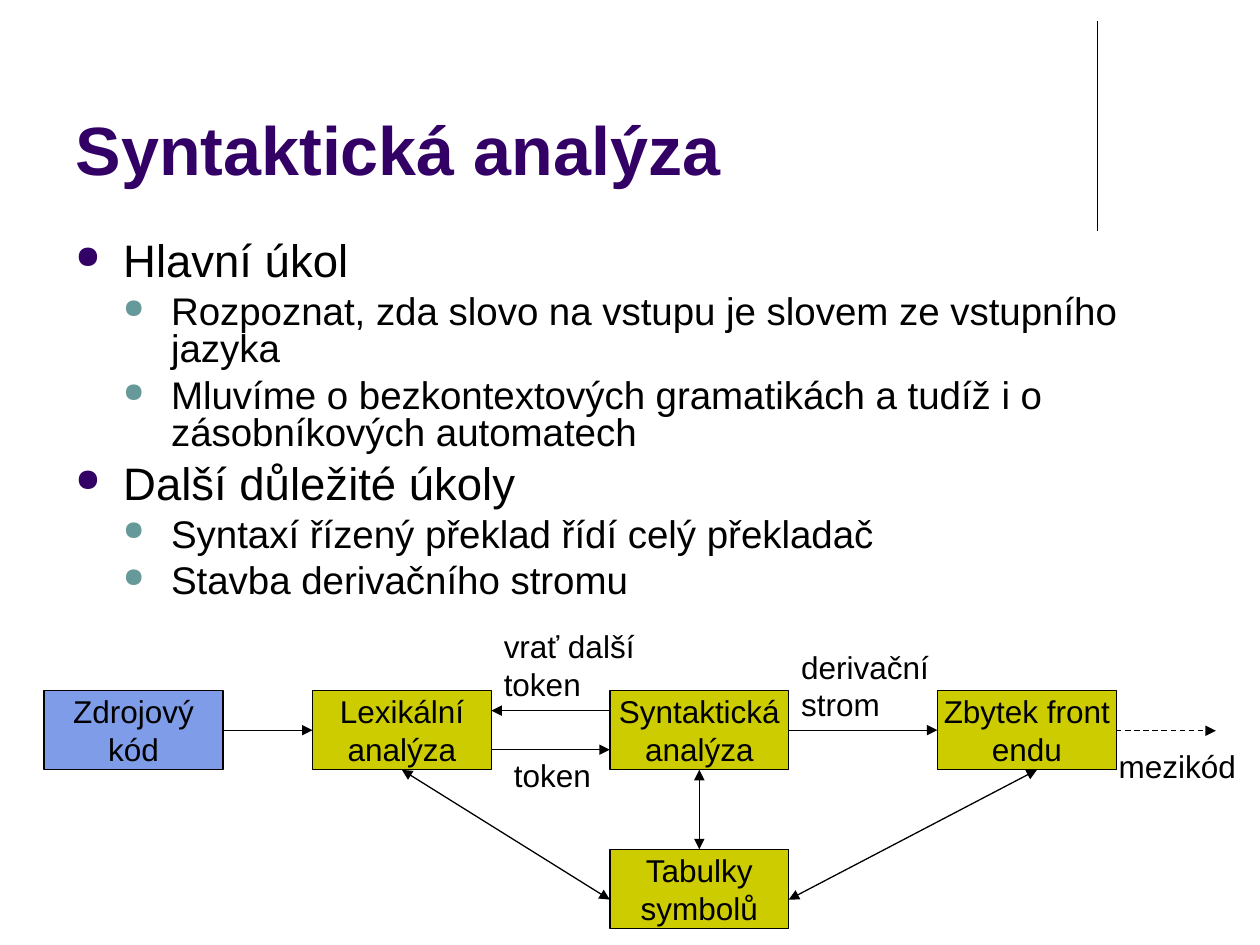
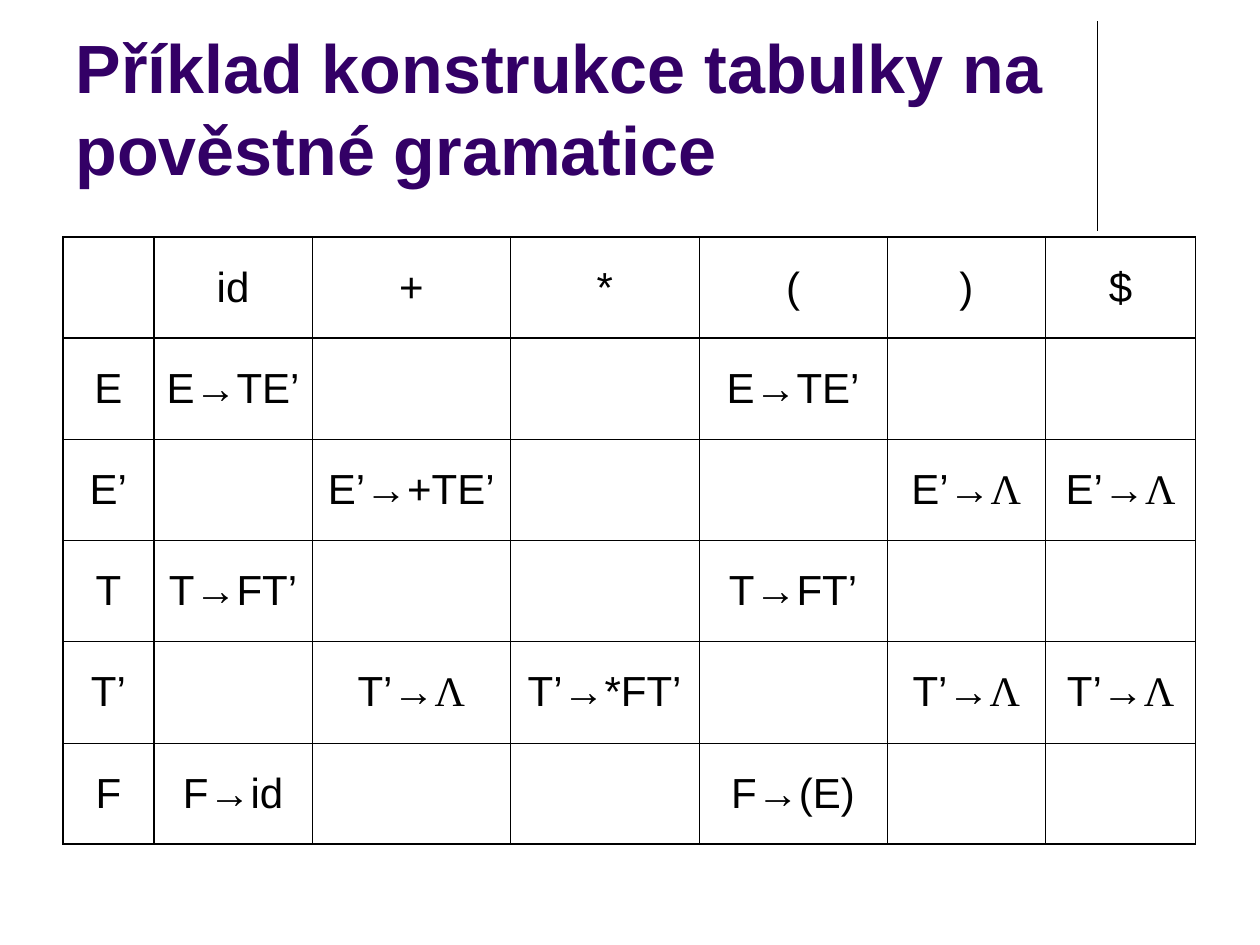
from lxml.etree import SubElement
from pptx import Presentation
from pptx.dml.color import RGBColor
from pptx.enum.dml import MSO_LINE_DASH_STYLE as Dash
from pptx.enum.shapes import MSO_CONNECTOR as Connector, MSO_SHAPE as Shape
from pptx.enum.text import MSO_ANCHOR as Anchor, MSO_AUTO_SIZE as AutoSize, PP_ALIGN as Align
from pptx.oxml.ns import qn
from pptx.util import Inches, Pt

BLACK = RGBColor(0x00, 0x00, 0x00)
PURPLE = RGBColor(0x33, 0x00, 0x66)
TEAL = RGBColor(0x66, 0x99, 0x99)
OLIVE = RGBColor(0xCC, 0xCC, 0x00)
BLUE = RGBColor(0x7E, 0x9C, 0xE8)

FONT = "Arial"
SYMBOL_FONT = "Times New Roman"
EMPTY_WORD = "Λ"
TOP, LEFT, BOTTOM, RIGHT = range(4)  # connection sites of a rectangle

# Bullet levels: text size, space before, bullet colour
LEVELS = [(26, 6.5, PURPLE), (22, 5.5, TEAL)]
HANGING = 0.38

BOX_WIDTH, BOX_HEIGHT = 1.42, 0.63
THICK, THIN = 1.08, 0.45


class Deck:
    def __init__(self):
        self.presentation = Presentation()
        self.presentation.slide_width = Inches(10)
        self.presentation.slide_height = Inches(7.5)
        self.slide = None

    def add_slide(self, title):
        layout = self.presentation.slide_layouts[5]
        self.slide = self.presentation.slides.add_slide(layout)
        self.arrow((8.71, 0.17), (8.71, 1.83), tail=False)
        shape = self.slide.shapes.title
        shape.left, shape.top = Inches(0.5), Inches(0.13)
        shape.width, shape.height = Inches(8.25), Inches(1.42)
        frame = shape.text_frame
        frame.auto_size, frame.word_wrap = AutoSize.NONE, True
        frame.vertical_anchor = Anchor.BOTTOM
        paragraph = frame.paragraphs[0]
        paragraph.alignment = Align.LEFT
        self.run(paragraph, title, 39, PURPLE, bold=True)

    def run(self, paragraph, text, size, color=BLACK, bold=False, font=FONT):
        run = paragraph.add_run()
        run.text = text
        run.font.size, run.font.name = Pt(size), font
        run.font.bold, run.font.color.rgb = bold, color

    def lines(self, paragraph, text, size=18):
        for index, line in enumerate(text.split("\n")):
            if index:
                paragraph.add_line_break()
            self.run(paragraph, line, size)

    def bullets(self, items, left, top, width, height):
        box = self.slide.shapes.add_textbox(*map(Inches, (left, top, width, height)))
        frame = box.text_frame
        frame.word_wrap = True
        for index, (level, text) in enumerate(items):
            paragraph = frame.paragraphs[0] if index == 0 else frame.add_paragraph()
            size, space, color = LEVELS[level]
            properties = paragraph._p.get_or_add_pPr()
            properties.set("marL", str(Inches(HANGING * (level + 1))))
            properties.set("indent", str(-Inches(HANGING)))
            bullet_color = SubElement(properties, qn("a:buClr"))
            SubElement(bullet_color, qn("a:srgbClr"), val=str(color))
            SubElement(properties, qn("a:buSzPct"), val="70000")
            SubElement(properties, qn("a:buChar"), char="●")
            paragraph.level = level
            paragraph.line_spacing = 0.8
            paragraph.space_before = Pt(space if index else 0)
            self.run(paragraph, text, size)

    def label(self, text, left, top, width, height, wrap=False):
        box = self.slide.shapes.add_textbox(*map(Inches, (left, top, width, height)))
        box.text_frame.word_wrap = wrap
        self.lines(box.text_frame.paragraphs[0], text)

    def box(self, text, left, top, fill=OLIVE):
        shape = self.slide.shapes.add_shape(
            Shape.RECTANGLE, *map(Inches, (left, top, BOX_WIDTH, BOX_HEIGHT)))
        shape.shadow.inherit = False
        shape.fill.solid()
        shape.fill.fore_color.rgb = fill
        shape.line.color.rgb, shape.line.width = BLACK, Pt(0.75)
        frame = shape.text_frame
        frame.word_wrap, frame.vertical_anchor = False, Anchor.MIDDLE
        frame.paragraphs[0].alignment = Align.CENTER
        self.lines(frame.paragraphs[0], text)
        return shape

    def arrow(self, start, end, head=False, tail=True, dashed=False):
        connector = self.slide.shapes.add_connector(
            Connector.STRAIGHT, *map(Inches, (*start, *end)))
        connector.line.color.rgb, connector.line.width = BLACK, Pt(0.75)
        if dashed:
            connector.line.dash_style = Dash.DASH
        properties = connector.element.spPr
        outline = properties.find(qn("a:ln"))
        for shown, tag in ((head, "a:headEnd"), (tail, "a:tailEnd")):
            if shown:
                SubElement(outline, qn(tag), type="triangle")
        SubElement(properties, qn("a:effectLst"))
        return connector

    def link(self, first, first_site, second, second_site, head=False):
        connector = self.arrow((0, 0), (1, 1), head=head)
        connector.begin_connect(first, first_site)
        connector.end_connect(second, second_site)

    def border(self, cell, widths):
        properties = cell._tc.get_or_add_tcPr()
        for side, width in zip("LRTB", widths):
            line = SubElement(properties, qn(f"a:ln{side}"), w=str(Pt(width)))
            fill = SubElement(line, qn("a:solidFill"))
            SubElement(fill, qn("a:srgbClr"), val=str(BLACK))

    def table(self, rows, left, top, column_widths, height):
        row_count, column_count = len(rows), len(column_widths)
        table = self.slide.shapes.add_table(
            row_count, column_count, Inches(left), Inches(top),
            Inches(sum(column_widths)), Inches(height)).table
        table.first_row = table.horz_banding = False
        for column, width in zip(table.columns, column_widths):
            column.width = Inches(width)
        for row in table.rows:
            row.height = Inches(height / row_count)
        # Thick lines frame the table and set off the header row and column
        thick_x, thick_y = {0, 1, column_count}, {0, 1, row_count}
        for y, texts in enumerate(rows):
            for x, text in enumerate(texts):
                cell = table.cell(y, x)
                self.border(cell, [THICK if is_thick else THIN for is_thick in (
                    x in thick_x, x + 1 in thick_x, y in thick_y, y + 1 in thick_y)])
                cell.fill.background()
                cell.vertical_anchor = Anchor.MIDDLE
                paragraph = cell.text_frame.paragraphs[0]
                paragraph.alignment = Align.CENTER
                rule, symbol, _ = text.partition(EMPTY_WORD)
                if rule:
                    self.run(paragraph, rule, 24)
                if symbol:
                    self.run(paragraph, symbol, 24, font=SYMBOL_FONT)


def syntax_analysis(deck):
    deck.add_slide("Syntaktická analýza")
    deck.bullets([
        (0, "Hlavní úkol"),
        (1, "Rozpoznat, zda slovo na vstupu je slovem ze vstupního jazyka"),
        (1, "Mluvíme o bezkontextových gramatikách a tudíž i o zásobníkových automatech"),
        (0, "Další důležité úkoly"),
        (1, "Syntaxí řízený překlad řídí celý překladač"),
        (1, "Stavba derivačního stromu"),
    ], 0.5, 1.88, 9, 3.21)

    # Compiler stages
    stage_top = 5.48
    source = deck.box("Zdrojový\nkód", 0.35, stage_top, BLUE)
    lexer = deck.box("Lexikální\nanalýza", 2.48, stage_top)
    parser = deck.box("Syntaktická\nanalýza", 4.84, stage_top)
    rest = deck.box("Zbytek front\nendu", 7.44, stage_top)
    symbols = deck.box("Tabulky\nsymbolů", 4.84, 6.74)

    # Data flow
    deck.link(source, RIGHT, lexer, LEFT)
    deck.link(parser, RIGHT, rest, LEFT)
    deck.link(parser, BOTTOM, symbols, TOP, head=True)
    deck.arrow((4.84, 5.64), (3.9, 5.64))
    deck.arrow((3.9, 5.95), (4.84, 5.95))
    deck.arrow((3.19, 6.11), (4.84, 7.14), head=True)
    deck.arrow((8.23, 6.11), (6.26, 7.14), head=True)
    deck.arrow((8.86, 5.8), (9.65, 5.8), dashed=True)

    # Flow labels
    deck.label("vrať další token", 3.9, 4.93, 1.26, 0.7, wrap=True)
    deck.label("token", 3.98, 5.95, 0.81, 0.4)
    deck.label("derivační\nstrom", 6.26, 5.09, 1.28, 0.7, wrap=True)
    deck.label("mezikód", 8.78, 5.88, 1.13, 0.4)


def parsing_table(deck):
    deck.add_slide("Příklad konstrukce tabulky na pověstné gramatice")
    deck.table([
        ["", "id", "+", "*", "(", ")", "$"],
        ["E", "E→TE’", "", "", "E→TE’", "", ""],
        ["E’", "", "E’→+TE’", "", "", "E’→Λ", "E’→Λ"],
        ["T", "T→FT’", "", "", "T→FT’", "", ""],
        ["T’", "", "T’→Λ", "T’→*FT’", "", "T’→Λ", "T’→Λ"],
        ["F", "F→id", "", "", "F→(E)", "", ""],
    ], 0.5, 1.88, [0.72, 1.26, 1.57, 1.5, 1.49, 1.26, 1.19], 4.82)


def main():
    deck = Deck()
    syntax_analysis(deck)
    parsing_table(deck)
    deck.presentation.save("out.pptx")


if __name__ == "__main__":
    main()
